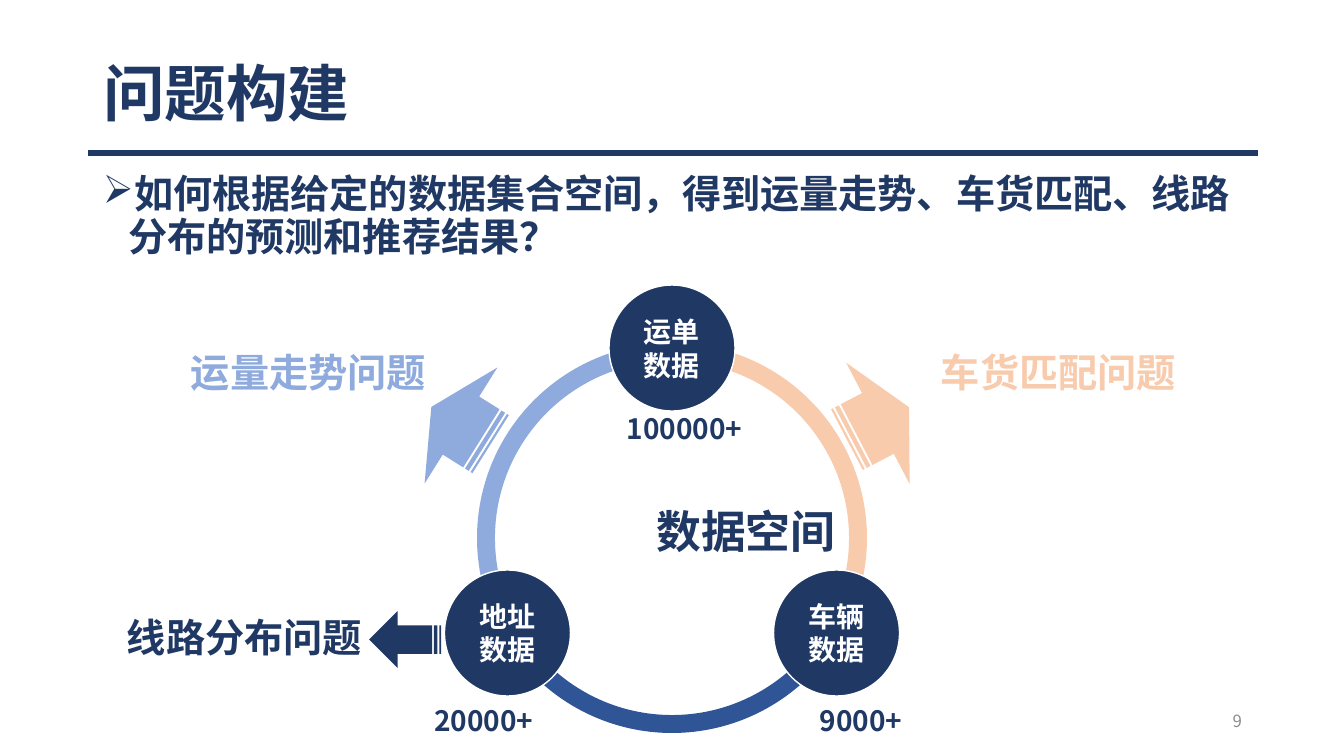
from math import cos, radians, sin

from lxml import etree
from pptx import Presentation
from pptx import util as u
from pptx.dml.color import RGBColor
from pptx.enum import shapes, text
from pptx.oxml.ns import qn

NAVY = RGBColor(0x20, 0x38, 0x64)
BLUE = RGBColor(0x2F, 0x55, 0x97)
LIGHT_BLUE = RGBColor(0x8F, 0xAA, 0xDC)
PEACH = RGBColor(0xF8, 0xCB, 0xAD)
WHITE = RGBColor(0xFF, 0xFF, 0xFF)
GREY = RGBColor(0x8C, 0x8C, 0x8C)
FONT = "Noto Sans CJK SC"
LEFT, CENTER, RIGHT = text.PP_ALIGN.LEFT, text.PP_ALIGN.CENTER, text.PP_ALIGN.RIGHT

TITLE = "问题构建"
QUESTION = "如何根据给定的数据集合空间，得到运量走势、车货匹配、线路分布的预测和推荐结果？"
# Clockwise around the ring: node, its angle, colour of the arc that follows it
DATA_NODES = [("运单数据", 270, PEACH), ("车辆数据", 30, BLUE), ("地址数据", 150, LIGHT_BLUE)]
# Text, box, size, colour, alignment
LABELS = [
    ("数据空间", (639, 499, 214, 64), 32, NAVY, CENTER),
    ("100000+", (570, 407, 229, 44), 20, NAVY, CENTER),
    ("9000+", (754, 699, 214, 44), 20, NAVY, CENTER),
    ("20000+", (377, 699, 214, 44), 20, NAVY, CENTER),
    ("运量走势问题", (181, 343, 257, 57), 28, LIGHT_BLUE, LEFT),
    ("车货匹配问题", (931, 343, 257, 57), 28, PEACH, LEFT),
    ("线路分布问题", (117, 608, 257, 57), 28, NAVY, LEFT),
]
# Box before rotation, rotation, colour
PROBLEM_ARROWS = [
    ((369, 611, 72, 57), 180, NAVY),
    ((426, 357, 70, 137), 212.1, LIGHT_BLUE),
    ((843, 355, 70, 137), 332.4, PEACH),
]
RING_X, RING_Y, RING_OUTER, NODE_ORBIT, NODE_RADIUS = 672, 538, 195, 190, 63


def px(*lengths):
    return [u.Emu(round(length * 914400 / 100.8)) for length in lengths]


def square(x, y, radius):
    """Box around a circle, from its centre and radius."""
    return x - radius, y - radius, 2 * radius, 2 * radius


def write(paragraph, words, size, color, align=LEFT, bold=True):
    paragraph.alignment = align
    run = paragraph.add_run()
    run.text = words
    run.font.size = u.Pt(size)
    run.font.bold = bold
    run.font.color.rgb = color
    run.font.name = FONT
    etree.SubElement(run.font._element, qn("a:ea"), typeface=FONT)


def add_label(slide, box):
    frame = slide.shapes.add_textbox(*px(*box)).text_frame
    frame.word_wrap = True
    return frame


def add_filled(slide, kind, box, color):
    shape = slide.shapes.add_shape(kind, *px(*box))
    shape.shadow.inherit = False
    shape.fill.solid()
    shape.fill.fore_color.rgb = color
    shape.line.fill.background()
    return shape


def add_heading(slide):
    rule = slide.shapes.add_connector(shapes.MSO_CONNECTOR.STRAIGHT, *px(88, 153, 1258, 153))
    rule.line.color.rgb = NAVY
    rule.line.width = u.Pt(4)
    etree.SubElement(rule._element.spPr, qn("a:effectLst"))

    title = slide.shapes.title
    title.left, title.top, title.width, title.height = px(93, 40, 1159, 113)
    frame = title.text_frame
    frame.auto_size = text.MSO_AUTO_SIZE.NONE
    frame.vertical_anchor = text.MSO_ANCHOR.MIDDLE
    frame.paragraphs[0].line_spacing = 0.9
    write(frame.paragraphs[0], TITLE, 44, NAVY)


def add_question(slide):
    paragraph = add_label(slide, (93, 170, 1159, 510)).paragraphs[0]
    properties = paragraph._p.get_or_add_pPr()
    indent = u.Inches(0.25)
    properties.set("marL", str(indent))
    properties.set("indent", str(-indent))
    etree.SubElement(properties, qn("a:buChar"), char="➢")
    paragraph.line_spacing = 0.9
    write(paragraph, QUESTION, 28, NAVY)


def add_data_ring(slide):
    for _, angle, color in DATA_NODES:
        arc = add_filled(slide, shapes.MSO_SHAPE.BLOCK_ARC,
                         square(RING_X, RING_Y, RING_OUTER), color)
        # Angles are stored in 60000ths of a degree, adjustments in 100000ths
        arc.adjustments[0] = angle * 0.6
        arc.adjustments[1] = (angle + 120) % 360 * 0.6
        arc.adjustments[2] = 0.046
    for name, angle, _ in DATA_NODES:
        x = RING_X + NODE_ORBIT * cos(radians(angle))
        y = RING_Y + NODE_ORBIT * sin(radians(angle))
        node = add_filled(slide, shapes.MSO_SHAPE.OVAL, square(x, y, NODE_RADIUS), NAVY)
        node.line.color.rgb = WHITE
        node.line.width = u.Pt(1)
        node.text_frame.word_wrap = True
        node.text_frame.vertical_anchor = text.MSO_ANCHOR.MIDDLE
        write(node.text_frame.paragraphs[0], name, 20, WHITE, CENTER)


def main():
    deck = Presentation()
    deck.slide_width, deck.slide_height = px(1344, 756)
    slide = deck.slides.add_slide(deck.slide_layouts[5])

    add_heading(slide)
    add_question(slide)
    add_data_ring(slide)
    for box, rotation, color in PROBLEM_ARROWS:
        arrow = add_filled(slide, shapes.MSO_SHAPE.STRIPED_RIGHT_ARROW, box, color)
        arrow.rotation = rotation
    for words, box, size, color, align in LABELS:
        write(add_label(slide, box).paragraphs[0], words, size, color, align)

    page_number = add_label(slide, (950, 701, 302, 40))
    page_number.vertical_anchor = text.MSO_ANCHOR.MIDDLE
    write(page_number.paragraphs[0], "9", 12, GREY, RIGHT, bold=False)
    deck.save("out.pptx")


if __name__ == "__main__":
    main()
